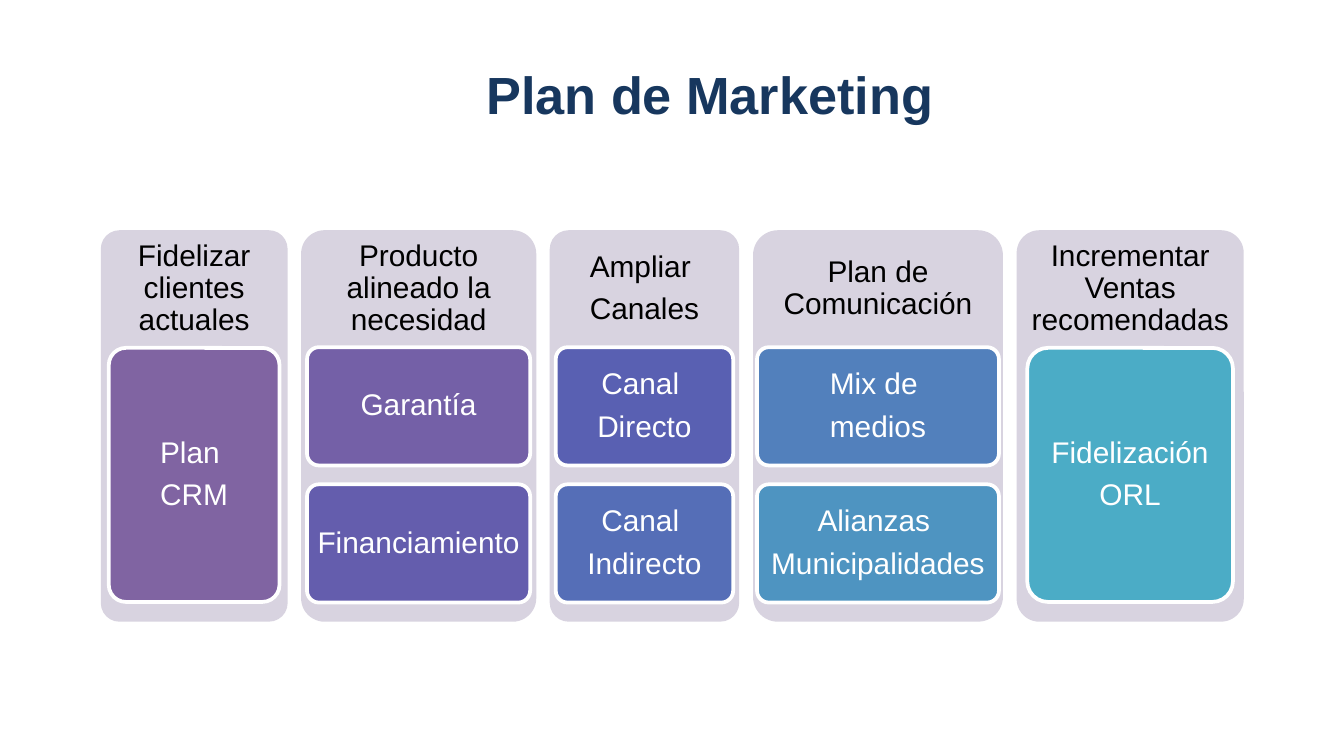
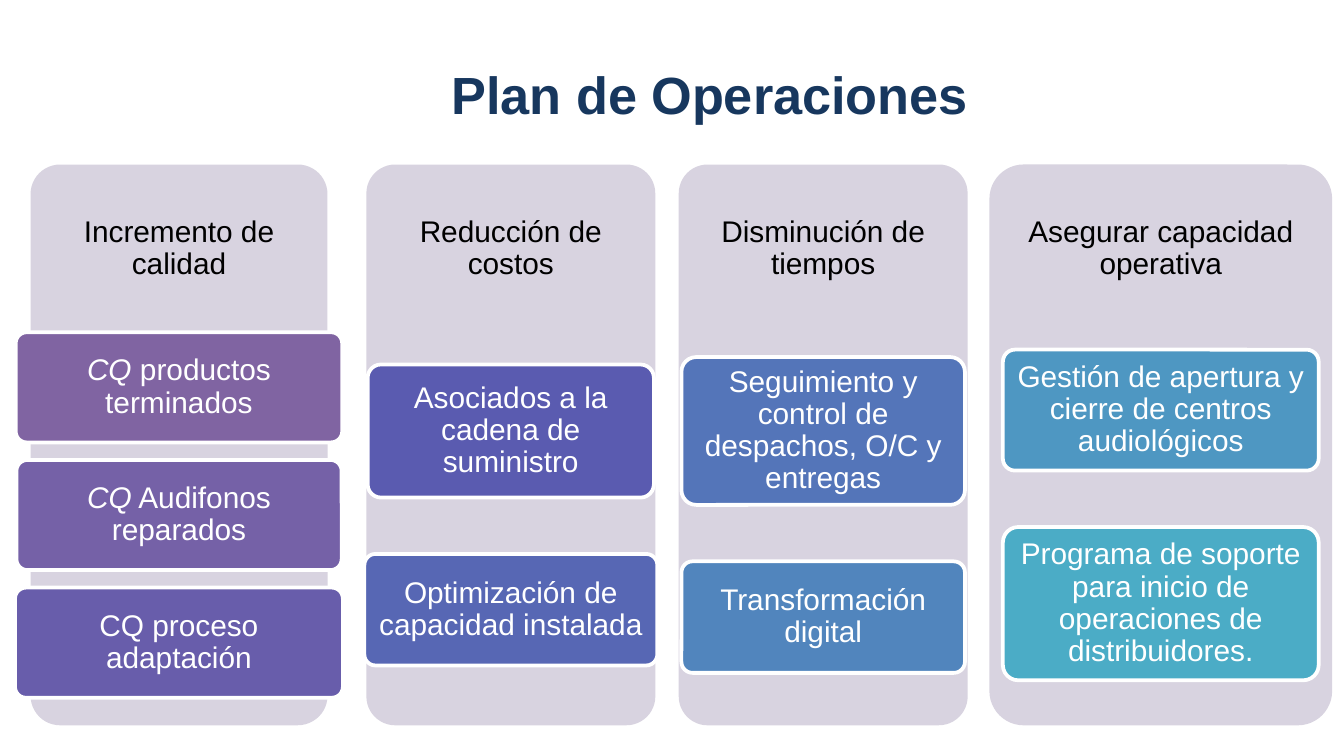
from dataclasses import dataclass
from typing import Iterator

from pptx import Presentation
from pptx.dml.color import RGBColor
from pptx.enum.shapes import MSO_SHAPE
from pptx.enum.text import MSO_ANCHOR, PP_ALIGN
from pptx.shapes.autoshape import Shape
from pptx.slide import Slide
from pptx.util import Inches, Pt

ROUNDED = MSO_SHAPE.ROUNDED_RECTANGLE
CENTER = PP_ALIGN.CENTER
MIDDLE = MSO_ANCHOR.MIDDLE

SLIDE_WIDTH = Inches(10)
SLIDE_HEIGHT = SLIDE_WIDTH * 9 // 16
GRID_COLUMNS = 100
CELL = SLIDE_WIDTH / GRID_COLUMNS
HEADER_SHARE = 0.3
BODY_SHARE = 0.65
CORNER_SHARE = 0.1
BLANK_LAYOUT = 6


@dataclass(frozen=True)
class Theme:
    font: str = "Arial"
    title_size: float = 28
    body_size: float = 16
    line_spacing: float = 0.9
    space_after: float = 5.6
    border_width: float = 2
    title_color: str = "17375E"
    panel_color: str = "D8D3E0"
    header_color: str = "000000"
    card_text_color: str = "FFFFFF"
    border_color: str = "FFFFFF"
    marketing_ramp: tuple[str, ...] = (
        "8064A2", "7460A7", "645DAD", "5960B2",
        "556EB7", "5280BC", "4E94C1", "4BACC6",
    )
    operations_ramp: tuple[str, ...] = (
        "8064A2", "7561A7", "685DAB", "5A5BB0", "5767B4",
        "5475B9", "5185BD", "4E97C2", "4BACC6",
    )


THEME = Theme()


@dataclass(frozen=True)
class Box:
    left: float
    top: float
    width: float
    height: float

    def lengths(self) -> tuple[int, int, int, int]:
        return (
            round(self.left * CELL), round(self.top * CELL),
            round(self.width * CELL), round(self.height * CELL),
        )


@dataclass(frozen=True)
class Card:
    lines: tuple[str, ...]
    width: float
    height: float
    italic_lead: str = ""


@dataclass(frozen=True)
class Pillar:
    header: tuple[str, ...]
    left: float
    width: float
    gap: float
    cards: tuple[Card, ...]


@dataclass(frozen=True)
class Plan:
    title: str
    top: float
    height: float
    ramp: tuple[str, ...]
    pillars: tuple[Pillar, ...]


TITLE_BOX = Box(21.7, 2.3, 62.2, 9.4)

MARKETING = Plan("Plan de Marketing", 17.13, 29.13, THEME.marketing_ramp, (
    Pillar(("Fidelizar clientes actuales",), 7.5, 13.9, 0, (
        Card(("Plan ", "CRM"), 12.7, 18.9),
    )),
    Pillar(("Producto alineado la necesidad",), 22.4, 17.5, 1.4, (
        Card(("Garantía",), 16.6, 8.8),
        Card(("Financiamiento",), 16.6, 8.8),
    )),
    Pillar(("Ampliar ", "Canales"), 40.9, 14.1, 1.4, (
        Card(("Canal ", "Directo"), 13.2, 8.8),
        Card(("Canal ", "Indirecto"), 13.2, 8.8),
    )),
    Pillar(("Plan de Comunicación",), 56.03, 18.6, 1.4, (
        Card(("Mix de ", "medios"), 18, 8.8),
        Card(("Alianzas ", "Municipalidades"), 18, 8.8),
    )),
    Pillar(("Incrementar Ventas recomendadas",), 75.64, 16.9, 0, (
        Card(("Fidelización", "ORL"), 15.3, 18.9),
    )),
))

OPERATIONS = Plan("Plan de Operaciones", 12.24, 41.73, THEME.operations_ramp, (
    Pillar(("Incremento de calidad",), 2.27, 22.1, 1.3, (
        Card((" productos terminados",), 24.3, 8.2, "CQ"),
        Card((" Audifonos reparados",), 24.2, 8.2, "CQ"),
        Card(("CQ proceso adaptación",), 24.4, 8.2),
    )),
    Pillar(("Reducción de costos",), 27.26, 21.5, 4.2, (
        Card(("Asociados a la cadena de suministro",), 21.3, 9.9),
        Card(("Optimización de capacidad instalada",), 21.8, 8.3),
    )),
    Pillar(("Disminución de tiempos",), 50.5, 21.5, 4.2, (
        Card(("Seguimiento y control de despachos, O/C y entregas",), 21.1, 11),
        Card(("Transformación digital",), 21.1, 8.3),
    )),
    Pillar(("Asegurar capacidad operativa",), 73.62, 25.5, 4.2, (
        Card(("Gestión de apertura y cierre de centros audiológicos",), 23.5, 9),
        Card(("Programa de soporte para inicio de operaciones de distribuidores.",),
             23.5, 11.4),
    )),
))


def write_text(shape: Shape, lines: tuple[str, ...], color: str,
               margins: tuple[float, float], italic_lead: str = "") -> None:
    frame = shape.text_frame
    frame.word_wrap = True
    frame.vertical_anchor = MIDDLE
    frame.margin_left = frame.margin_right = Inches(margins[0])
    frame.margin_top = frame.margin_bottom = Inches(margins[1])
    for index, line in enumerate(lines):
        paragraph = frame.add_paragraph() if index else frame.paragraphs[0]
        paragraph.alignment = CENTER
        paragraph.line_spacing = THEME.line_spacing
        paragraph.space_after = Pt(THEME.space_after)
        paragraph.font.name = THEME.font
        paragraph.font.size = Pt(THEME.body_size)
        paragraph.font.color.rgb = RGBColor.from_string(color)
        if italic_lead and index == 0:
            lead = paragraph.add_run()
            lead.text = italic_lead
            lead.font.italic = True
        paragraph.add_run().text = line


def add_rounded(slide: Slide, box: Box, color: str) -> Shape:
    shape = slide.shapes.add_shape(ROUNDED, *box.lengths())
    shape.shadow.inherit = False
    shape.adjustments[0] = CORNER_SHARE
    shape.fill.solid()
    shape.fill.fore_color.rgb = RGBColor.from_string(color)
    shape.line.fill.background()
    return shape


def add_title(slide: Slide, title: str) -> None:
    frame = slide.shapes.add_textbox(*TITLE_BOX.lengths()).text_frame
    frame.word_wrap = True
    frame.vertical_anchor = MIDDLE
    paragraph = frame.paragraphs[0]
    paragraph.text = title
    paragraph.alignment = CENTER
    paragraph.font.name = THEME.font
    paragraph.font.size = Pt(THEME.title_size)
    paragraph.font.bold = True
    paragraph.font.color.rgb = RGBColor.from_string(THEME.title_color)


def add_card(slide: Slide, card: Card, box: Box, color: str) -> None:
    shape = add_rounded(slide, box, color)
    shape.line.color.rgb = RGBColor.from_string(THEME.border_color)
    shape.line.width = Pt(THEME.border_width)
    write_text(shape, card.lines, THEME.card_text_color, (0.04, 0.03), card.italic_lead)


def add_pillar(slide: Slide, pillar: Pillar, top: float, height: float,
               colors: Iterator[str]) -> None:
    add_rounded(slide, Box(pillar.left, top, pillar.width, height), THEME.panel_color)
    header_height = height * HEADER_SHARE
    header_box = Box(pillar.left, top, pillar.width, header_height)
    header = slide.shapes.add_textbox(*header_box.lengths())
    write_text(header, pillar.header, THEME.header_color, (0.07, 0.07))

    stack_height = sum(card.height for card in pillar.cards)
    stack_height += pillar.gap * (len(pillar.cards) - 1)
    card_top = top + header_height + (height * BODY_SHARE - stack_height) / 2
    for card in pillar.cards:
        card_left = pillar.left + (pillar.width - card.width) / 2
        box = Box(card_left, card_top, card.width, card.height)
        add_card(slide, card, box, next(colors))
        card_top += card.height + pillar.gap


def main() -> None:
    presentation = Presentation()
    presentation.slide_width = SLIDE_WIDTH
    presentation.slide_height = SLIDE_HEIGHT
    for plan in (MARKETING, OPERATIONS):
        slide = presentation.slides.add_slide(presentation.slide_layouts[BLANK_LAYOUT])
        add_title(slide, plan.title)
        colors = iter(plan.ramp)
        for pillar in plan.pillars:
            add_pillar(slide, pillar, plan.top, plan.height, colors)
    presentation.save("out.pptx")


if __name__ == "__main__":
    main()
